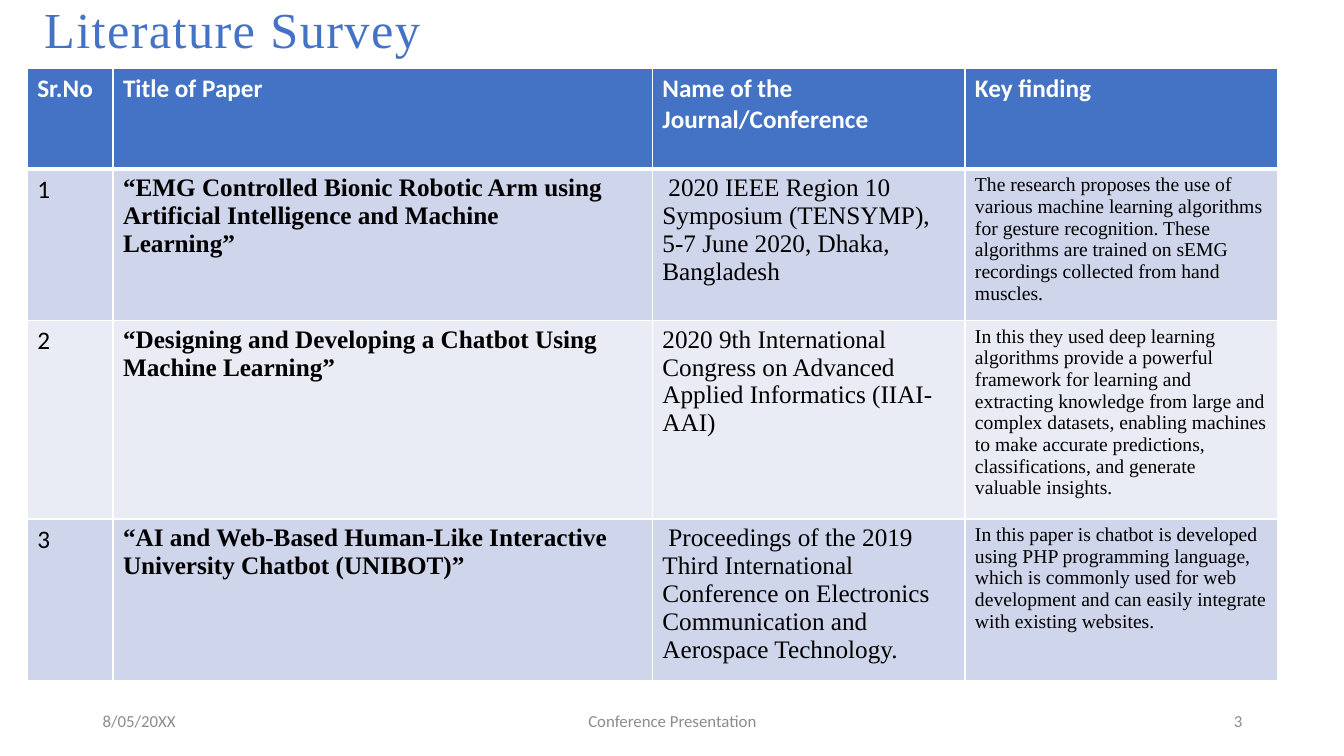
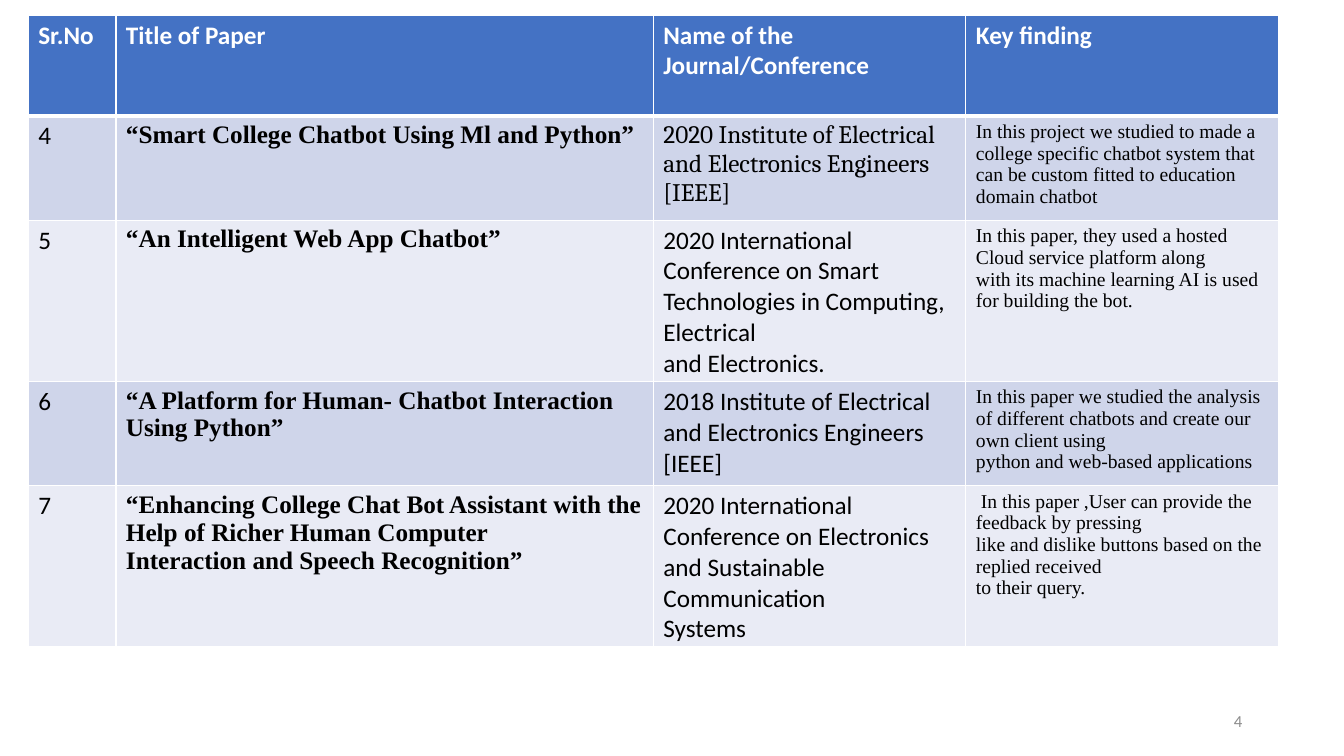
from pptx import Presentation
from pptx.dml.color import RGBColor
from pptx.enum.text import MSO_ANCHOR as Anchor, PP_ALIGN as Align
from pptx.oxml import parse_xml
from pptx.oxml.ns import nsdecls
from pptx.util import Inches, Pt

COLORS = {
    "blue": "4472C4", "white": "FFFFFF", "black": "000000",
    "odd": "CFD5EA", "even": "E9EBF5", "gray": "8C8C8C",
}
SERIF, SANS, BOOK = "Times New Roman", "Calibri", "Cambria"
HEADS = ["Sr.No", "Title of Paper", "Name of the Journal/Conference", "Key finding"]
INDENTS = {("1", 2): 0.06, ("3", 2): 0.06, ("7", 3): 0.05}

SLIDES = [
    {
        "title": "Literature Survey",
        "date": "8/05/20XX",
        "event": "Conference Presentation",
        "page": "3",
        "spot": (0.27, 0.68),
        "cols": [0.85, 5.35, 3.1, 3.1],
        "heights": [1, 1.4, 1.82, 1.48],
        "papers": [
            (SERIF, "1",
             "“EMG Controlled Bionic Robotic Arm using Artificial Intelligence and Machine\nLearning”",
             "2020 IEEE Region 10 Symposium (TENSYMP), 5-7 June 2020, Dhaka,\nBangladesh",
             "The research proposes the use of various machine learning algorithms for gesture "
             "recognition. These algorithms are trained on sEMG recordings collected from hand muscles."),
            (SERIF, "2",
             "“Designing and Developing a Chatbot Using Machine Learning”",
             "2020 9th International Congress on Advanced Applied Informatics (IIAI-AAI)",
             "In this they used deep learning algorithms provide a powerful framework for learning "
             "and extracting knowledge from large and complex datasets, enabling machines to make "
             "accurate predictions, classifications, and generate valuable insights."),
            (SERIF, "3",
             "“AI and Web-Based Human-Like Interactive University Chatbot (UNIBOT)”",
             "Proceedings of the 2019 Third International Conference on Electronics\n"
             "Communication and Aerospace Technology.",
             "In this paper is chatbot is developed using PHP programming language, which is "
             "commonly used for web development and can easily integrate with existing websites."),
        ],
    },
    {
        "page": "4",
        "spot": (0.28, 0.15),
        "cols": [0.87, 5.33, 3.1, 3.1],
        "heights": [1, 1.03, 1.6, 1.03, 1.6],
        "papers": [
            (BOOK, "4",
             "“Smart College Chatbot Using Ml and Python”",
             "2020 Institute of Electrical and Electronics Engineers [IEEE]",
             "In this project we studied to made a college specific chatbot system that\n"
             "can be custom fitted to education domain chatbot"),
            (SANS, "5",
             "“An Intelligent Web App Chatbot”",
             "2020 International Conference on Smart Technologies in Computing, Electrical\n"
             "and Electronics.",
             "In this paper, they used a hosted Cloud service platform along\n"
             "with its machine learning AI is used for building the bot."),
            (SANS, "6",
             "“A Platform for Human- Chatbot Interaction Using Python”",
             "2018 Institute of Electrical and Electronics Engineers [IEEE]",
             "In this paper we studied the analysis of different chatbots and create our own "
             "client using\npython and web-based applications"),
            (SANS, "7",
             "“Enhancing College Chat Bot Assistant with the Help of Richer Human Computer\n"
             "Interaction and Speech Recognition”",
             "2020 International Conference on Electronics and Sustainable Communication\nSystems",
             "In this paper ,User can provide the feedback by pressing\n"
             "like and dislike buttons based on the replied received\nto their query."),
        ],
    },
]

FOOTERS = [
    ("date", 0.92, 3, Align.LEFT),
    ("event", 4.42, 4.5, Align.CENTER),
    ("page", 9.42, 3, Align.RIGHT),
]


def rgb(name):
    return RGBColor.from_string(COLORS[name])


def style(para, face, size, color, bold=False):
    font = para.font
    font.name, font.size, font.bold = face, Pt(size), bold
    font.color.rgb = rgb(color)


def add_text(slide, text, box, face, size, color, anchor, align=Align.LEFT):
    frame = slide.shapes.add_textbox(*map(Inches, box)).text_frame
    frame.word_wrap = True
    frame.vertical_anchor = anchor
    frame.text = text
    para = frame.paragraphs[0]
    para.alignment = align
    style(para, face, size, color)
    return para


def add_title(slide, text):
    para = add_text(slide, text, (0.34, 0, 6.67, 0.65), SERIF, 36, "blue", Anchor.TOP)
    para.line_spacing = 0.9
    para.runs[0]._r.get_or_add_rPr().set("spc", "100")


def add_edges(cell, row):
    props = cell._tc.get_or_add_tcPr()
    widths = {"L": 1, "R": 1, "T": 3 if row == 1 else 1, "B": 3 if row == 0 else 1}
    for side, width in widths.items():
        props.append(parse_xml(
            f'<a:ln{side} {nsdecls("a")} w="{Pt(width)}"><a:solidFill>'
            f'<a:srgbClr val="{COLORS["white"]}"/></a:solidFill></a:ln{side}>'))


def fill_cell(cell, row, text, fill, look, indent):
    add_edges(cell, row)
    cell.fill.solid()
    cell.fill.fore_color.rgb = rgb(fill)
    cell.text = text
    paras = cell.text_frame.paragraphs
    for para in paras:
        style(para, *look)
    if indent:
        paras[0]._p.get_or_add_pPr().set("indent", str(Inches(indent)))


def add_papers(slide, data):
    cols, heights = data["cols"], data["heights"]
    box = (*data["spot"], sum(cols), sum(heights))
    table = slide.shapes.add_table(len(heights), len(cols), *map(Inches, box)).table
    for col, width in zip(table.columns, cols):
        col.width = Inches(width)
    for row, height in zip(table.rows, heights):
        row.height = Inches(height)
    for col, head in enumerate(HEADS):
        fill_cell(table.cell(0, col), 0, head, "blue", (SANS, 18, "white", True), 0)
    for row, (face, *texts) in enumerate(data["papers"], 1):
        looks = [(SANS, 18, "black"), (SERIF, 18, "black", True),
                 (face, 18, "black"), (SERIF, 14, "black")]
        fill = "odd" if row % 2 else "even"
        for col, (text, look) in enumerate(zip(texts, looks)):
            indent = INDENTS.get((texts[0], col), 0)
            fill_cell(table.cell(row, col), row, text, fill, look, indent)


def main():
    deck = Presentation()
    deck.slide_width, deck.slide_height = Inches(13.33), Inches(7.5)
    for data in SLIDES:
        slide = deck.slides.add_slide(deck.slide_layouts[6])
        for key, left, width, align in FOOTERS:
            if key in data:
                add_text(slide, data[key], (left, 6.95, width, 0.4),
                         SANS, 12, "gray", Anchor.MIDDLE, align)
        add_papers(slide, data)
        if "title" in data:
            add_title(slide, data["title"])
    deck.save("out.pptx")


if __name__ == "__main__":
    main()
